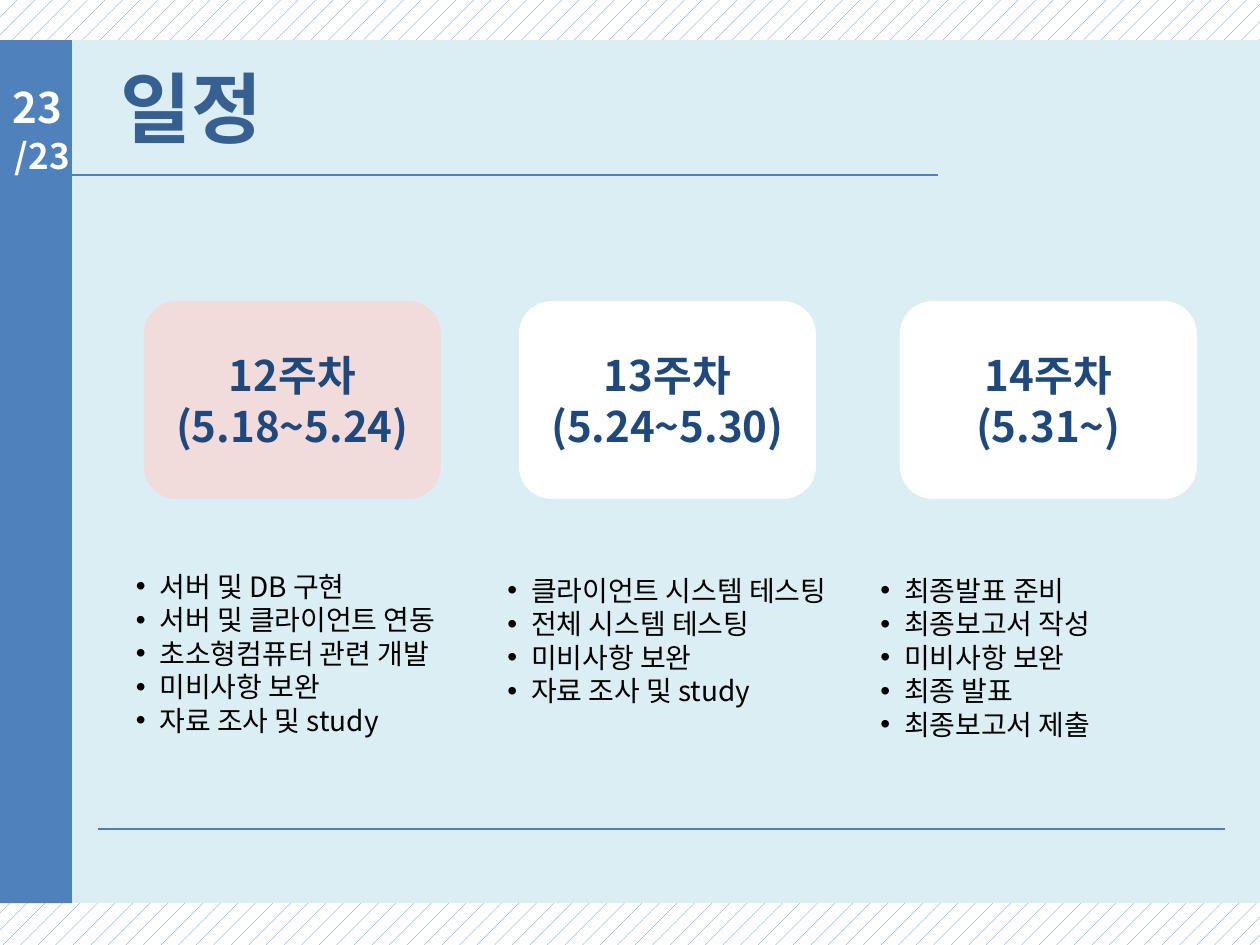
from dataclasses import dataclass

from lxml import etree
from pptx import Presentation
from pptx.dml.color import RGBColor
from pptx.enum.dml import MSO_PATTERN
from pptx.enum.shapes import MSO_CONNECTOR, MSO_SHAPE
from pptx.enum.text import MSO_ANCHOR, PP_ALIGN
from pptx.oxml.ns import qn
from pptx.util import Cm, Pt

RECTANGLE = MSO_SHAPE.RECTANGLE
ROUNDED = MSO_SHAPE.ROUNDED_RECTANGLE
STRAIGHT = MSO_CONNECTOR.STRAIGHT
CENTER, LEFT = PP_ALIGN.CENTER, PP_ALIGN.LEFT
MIDDLE, TOP = MSO_ANCHOR.MIDDLE, MSO_ANCHOR.TOP

FONT = "Noto Sans CJK KR"
COLORS = {
    "blue": "4F81BD", "panel": "DBEEF4", "white": "FFFFFF", "title": "376092",
    "current": "F2DCDB", "week": "1F497D", "black": "000000", "rule": "4B7EBC",
}
FORMATS = {
    "title": {"size": Pt(44), "bold": True, "color": "title"},
    "page": {"size": Pt(24), "bold": True, "color": "white"},
    "total": {"size": Pt(20), "bold": True, "color": "white"},
    "week": {"size": Pt(24), "bold": True, "color": "week"},
    "task": {"size": Pt(16), "bold": False, "color": "black"},
}
CARD_TOP, CARD_WIDTH, CARD_HEIGHT = 6.07, 5.99, 3.99
TASK_WIDTH, TASK_INDENT = 7.01, 0.48
SLIDE_WIDTH, SLIDE_HEIGHT = 25.4, 19.05
PANEL_TOP, PANEL_HEIGHT = 0.81, 17.4


@dataclass
class Box:
    left: float
    top: float
    width: float
    height: float

    def lengths(self) -> list:
        return [Cm(v) for v in (self.left, self.top, self.width, self.height)]


@dataclass
class Week:
    heading: list[str]
    tasks: list[str]
    card_left: float
    tasks_box: Box
    fill: str = "white"


WEEKS = [
    Week(["12주차", "(5.18~5.24)"],
         ["서버 및 DB 구현", "서버 및 클라이언트 연동", "초소형컴퓨터 관련 개발",
          "미비사항 보완", "자료 조사 및 study"],
         2.9, Box(2.49, 11.35, TASK_WIDTH, 3.99), "current"),
    Week(["13주차", "(5.24~5.30)"],
         ["클라이언트 시스템 테스팅", "전체 시스템 테스팅", "미비사항 보완",
          "자료 조사 및 study"],
         10.46, Box(9.98, 11.43, TASK_WIDTH, 3)),
    Week(["14주차", "(5.31~)"],
         ["최종발표 준비", "최종보고서 작성", "미비사항 보완", "최종 발표",
          "최종보고서 제출"],
         18.14, Box(17.5, 11.43, TASK_WIDTH, 3.68)),
]


def rgb(name: str) -> RGBColor:
    return RGBColor.from_string(COLORS[name])


def set_indent(paragraph, left: float, first: float = 0, bullet: str = "") -> None:
    properties = paragraph._p.get_or_add_pPr()
    properties.set("marL", str(Cm(left)))
    properties.set("indent", str(Cm(first)))
    if bullet:
        etree.SubElement(properties, qn("a:buFont")).set("typeface", "Arial")
        etree.SubElement(properties, qn("a:buChar")).set("char", bullet)


def write(shape, lines: list[str], style: str, align=LEFT, anchor=TOP,
          indent: float = 0, bullet: str = "") -> None:
    frame = shape.text_frame
    frame.word_wrap = True
    frame.vertical_anchor = anchor
    for number, line in enumerate(lines):
        paragraph = frame.add_paragraph() if number else frame.paragraphs[0]
        paragraph.alignment = align
        if indent:
            set_indent(paragraph, indent, -indent if bullet else 0, bullet)
        run = paragraph.add_run()
        run.text = line
        run.font.name = FONT
        for attribute, value in FORMATS[style].items():
            if attribute == "color":
                run.font.color.rgb = rgb(value)
            else:
                setattr(run.font, attribute, value)
        # Hangul takes the East Asian typeface
        etree.SubElement(run._r.get_or_add_rPr(), qn("a:ea")).set("typeface", FONT)


def add_block(slide, kind, box: Box, fill: str):
    block = slide.shapes.add_shape(kind, *box.lengths())
    block.shadow.inherit = False
    block.fill.solid()
    block.fill.fore_color.rgb = rgb(fill)
    block.line.fill.background()
    return block


def add_text(slide, box: Box, lines: list[str], style: str, **layout) -> None:
    write(slide.shapes.add_textbox(*box.lengths()), lines, style, **layout)


def add_rule(slide, left: float, right: float, y: float, color: str,
             weight: float) -> None:
    rule = slide.shapes.add_connector(STRAIGHT, Cm(left), Cm(y), Cm(right), Cm(y))
    rule.line.color.rgb = rgb(color)
    rule.line.width = Pt(weight)
    etree.SubElement(rule._element.spPr, qn("a:effectLst"))


def add_week(slide, week: Week) -> None:
    card = add_block(slide, ROUNDED,
                     Box(week.card_left, CARD_TOP, CARD_WIDTH, CARD_HEIGHT), week.fill)
    write(card, week.heading, "week", align=CENTER, anchor=MIDDLE)
    add_text(slide, week.tasks_box, week.tasks, "task",
             indent=TASK_INDENT, bullet="•")


def main() -> None:
    presentation = Presentation()
    presentation.slide_width = Cm(SLIDE_WIDTH)
    presentation.slide_height = Cm(SLIDE_HEIGHT)
    slide = presentation.slides.add_slide(presentation.slide_layouts[6])

    # Patterned background
    backdrop = slide.background.fill
    backdrop.patterned()
    backdrop.pattern = MSO_PATTERN.PERCENT_5
    backdrop.fore_color.rgb = rgb("blue")
    backdrop.back_color.rgb = rgb("white")

    # Panel, title rule and side bar
    add_block(slide, RECTANGLE, Box(0, PANEL_TOP, SLIDE_WIDTH, PANEL_HEIGHT), "panel")
    add_rule(slide, 0.71, 18.9, 3.53, "blue", 1)
    add_block(slide, RECTANGLE, Box(-0.05, PANEL_TOP, 1.5, PANEL_HEIGHT), "blue")

    # Page count and title
    add_text(slide, Box(0.05, 2.59, 1.7, 1.12), ["/23"], "total")
    add_text(slide, Box(0, 1.52, 1.7, 1.27), ["23"], "page")
    add_text(slide, Box(1.5, 0.84, 16.2, 2.64), ["일정"], "title",
             anchor=MIDDLE, indent=0.69)

    # Weekly schedule
    for week in WEEKS:
        add_week(slide, week)

    # Closing rule
    add_rule(slide, 1.98, 24.69, 16.71, "rule", 0.75)

    presentation.save("out.pptx")


if __name__ == "__main__":
    main()
